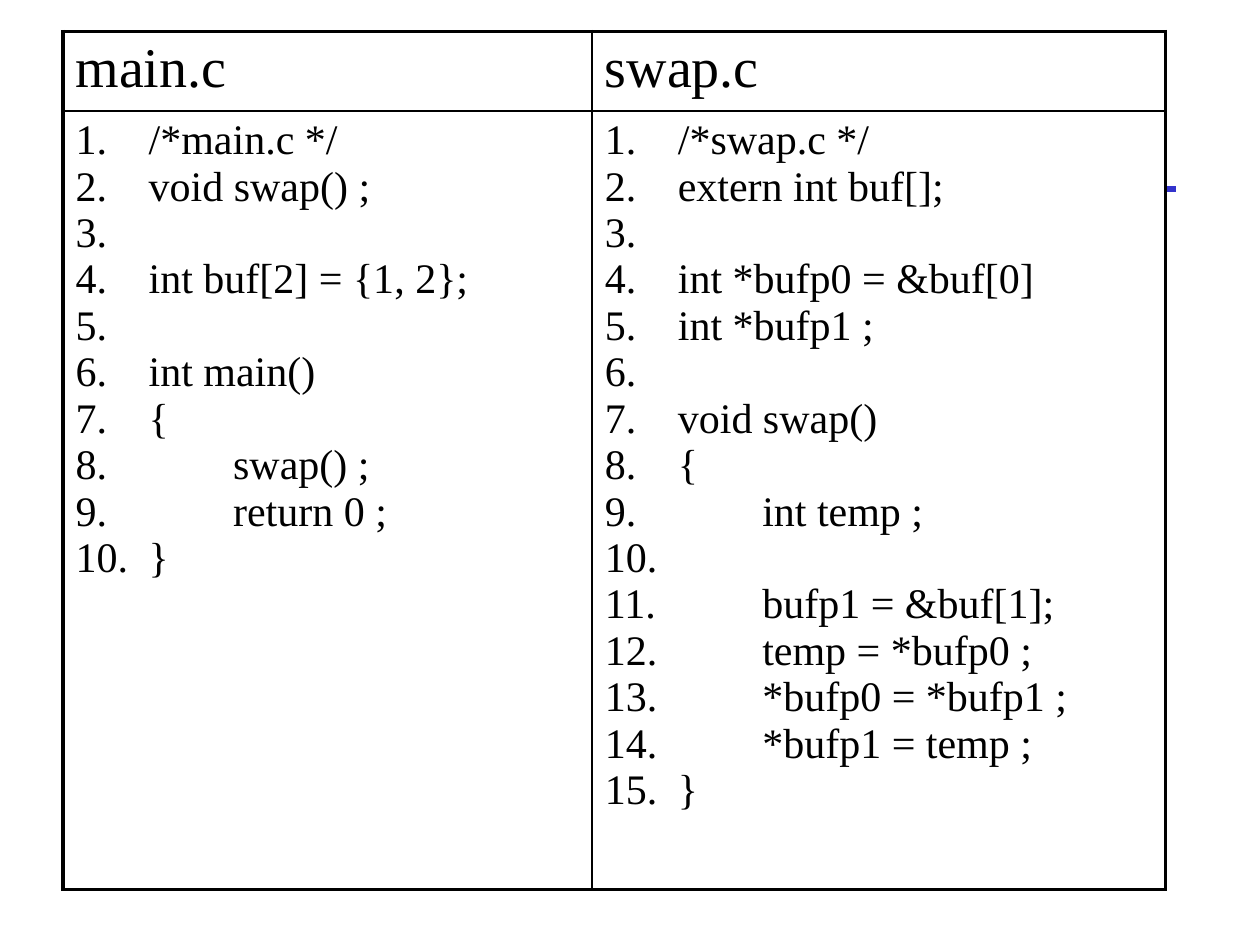
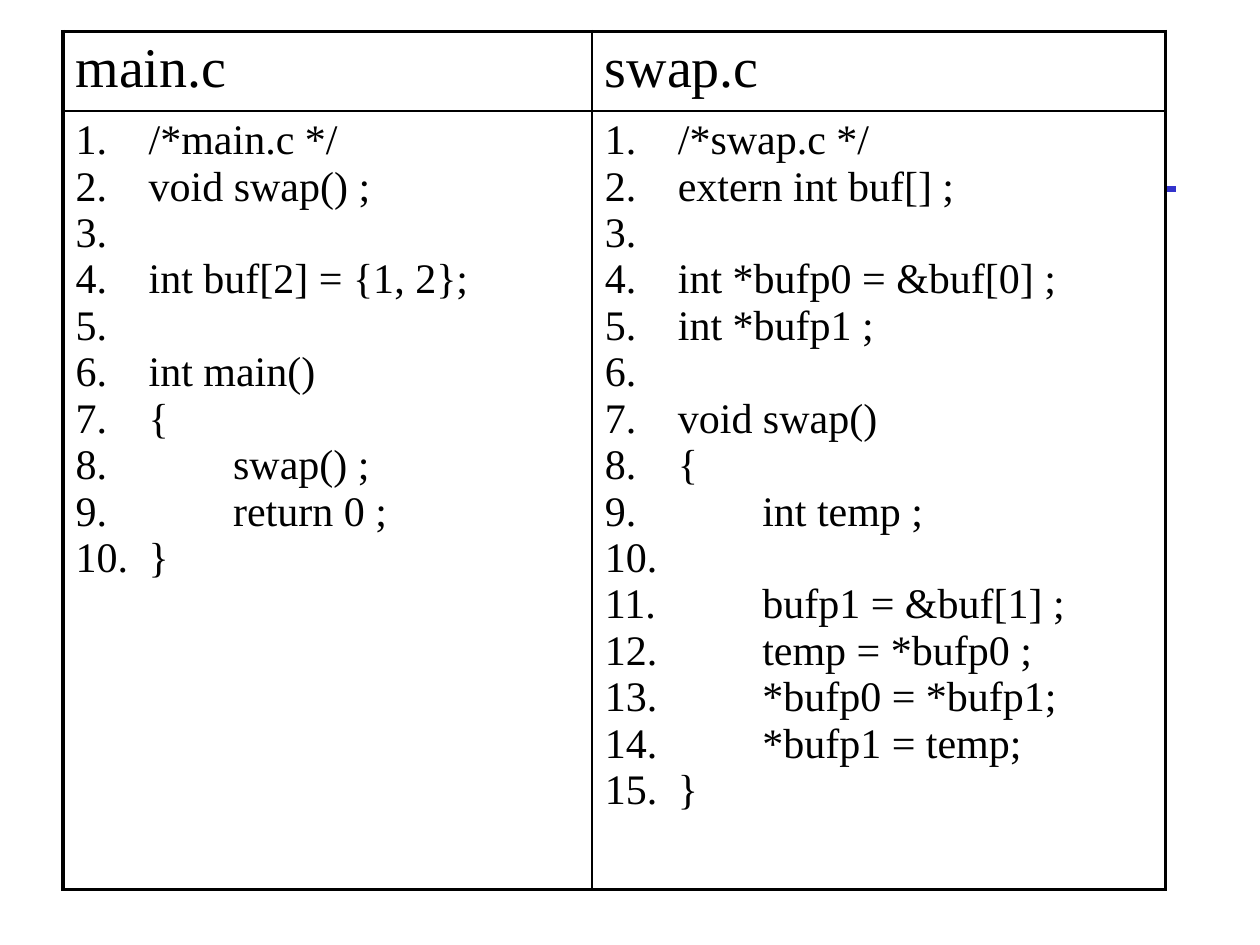
from lxml.etree import SubElement
from pptx import Presentation
from pptx.dml.color import RGBColor
from pptx.enum.shapes import MSO_CONNECTOR
from pptx.oxml.ns import qn
from pptx.util import Inches, Pt

COLOURS = {"ink": "000000", "paper": "FFFFFF", "rule": "3333CC"}
FONT = "Times New Roman"
NUMBER_INDENT = 0.58
CODE_INDENT = 0.67
OUTER_WIDTH, INNER_WIDTH = 2.25, 1
COLUMN_WIDTHS = [4.2, 4.55]
ROW_HEIGHTS = [0.63, 6.18]

# Code lines: a leading tab marks an indented statement, one space an empty line
MAIN_CODE = [
    "/*main.c */", "void swap() ;", " ", "int buf[2] = {1, 2};", " ",
    "int main()", "{", "\tswap() ;", "\treturn 0 ;", "}",
]
SWAP_DRAFT = [
    "/*swap.c */", "extern int buf[];", " ", "int *bufp0 = &buf[0]",
    "int *bufp1 ;", " ", "void swap()", "{", "\tint temp ;", " ",
    "\tbufp1 = &buf[1];", "\ttemp = *bufp0 ;", "\t*bufp0 = *bufp1 ;",
    "\t*bufp1 = temp ;", "}",
]
CORRECTIONS = {
    "extern int buf[];": "extern int buf[] ;",
    "int *bufp0 = &buf[0]": "int *bufp0 = &buf[0] ;",
    "\tbufp1 = &buf[1];": "\tbufp1 = &buf[1] ;",
    "\t*bufp0 = *bufp1 ;": "\t*bufp0 = *bufp1;",
    "\t*bufp1 = temp ;": "\t*bufp1 = temp;",
}
SWAP_FINAL = [CORRECTIONS.get(line, line) for line in SWAP_DRAFT]


def write_text(text_frame, lines, size=24, numbered=False):
    for index, line in enumerate(lines):
        paragraph = text_frame.paragraphs[0] if index == 0 else text_frame.add_paragraph()
        run = paragraph.add_run()
        run.text = line.lstrip("\t")
        run.font.name = FONT
        run.font.size = Pt(size)
        run.font.color.rgb = RGBColor.from_string(COLOURS["ink"])
        if numbered:
            indent = NUMBER_INDENT + (CODE_INDENT if line.startswith("\t") else 0)
            properties = paragraph._p.get_or_add_pPr()
            properties.set("marL", str(Inches(indent)))
            properties.set("indent", str(-Inches(indent)))
            SubElement(properties, qn("a:buFont"), typeface=FONT)
            SubElement(properties, qn("a:buAutoNum"), type="arabicPeriod")


def set_borders(cell, widths):
    properties = cell._tc.get_or_add_tcPr()
    for side, width in widths.items():
        border = SubElement(properties, qn(f"a:ln{side}"), w=str(Pt(width)))
        fill = SubElement(border, qn("a:solidFill"))
        SubElement(fill, qn("a:srgbClr"), val=COLOURS["ink"])


presentation = Presentation()
presentation.slide_width = Inches(10)
presentation.slide_height = Inches(7.5)

for swap_code in (SWAP_DRAFT, SWAP_FINAL):
    slide = presentation.slides.add_slide(presentation.slide_layouts[6])

    # Title rule behind the table
    title_rule = slide.shapes.add_connector(
        MSO_CONNECTOR.STRAIGHT, Inches(0.5), Inches(1.5), Inches(9.33), Inches(1.5))
    title_rule.line.color.rgb = RGBColor.from_string(COLOURS["rule"])
    title_rule.line.width = Pt(3)
    SubElement(title_rule._element.spPr, qn("a:effectLst"))

    # Two source files side by side
    table = slide.shapes.add_table(
        2, 2, Inches(0.5), Inches(0.25),
        Inches(sum(COLUMN_WIDTHS)), Inches(sum(ROW_HEIGHTS))).table
    table.first_row = False
    table.horz_banding = False
    for row, height in zip(table.rows, ROW_HEIGHTS):
        row.height = Inches(height)

    source_files = [("main.c", MAIN_CODE), ("swap.c", swap_code)]
    for column, (file_name, code) in enumerate(source_files):
        table.columns[column].width = Inches(COLUMN_WIDTHS[column])
        name_cell, code_cell = table.cell(0, column), table.cell(1, column)
        write_text(name_cell.text_frame, [file_name], size=32)
        write_text(code_cell.text_frame, code, numbered=True)

        # Heavy frame outside, thin lines inside
        for row, cell in enumerate((name_cell, code_cell)):
            set_borders(cell, {
                "L": OUTER_WIDTH if column == 0 else INNER_WIDTH,
                "R": OUTER_WIDTH if column == 1 else INNER_WIDTH,
                "T": OUTER_WIDTH if row == 0 else INNER_WIDTH,
                "B": OUTER_WIDTH if row == 1 else INNER_WIDTH,
            })
        name_cell.fill.background()
        code_cell.fill.solid()
        code_cell.fill.fore_color.rgb = RGBColor.from_string(COLOURS["paper"])

presentation.save("out.pptx")
